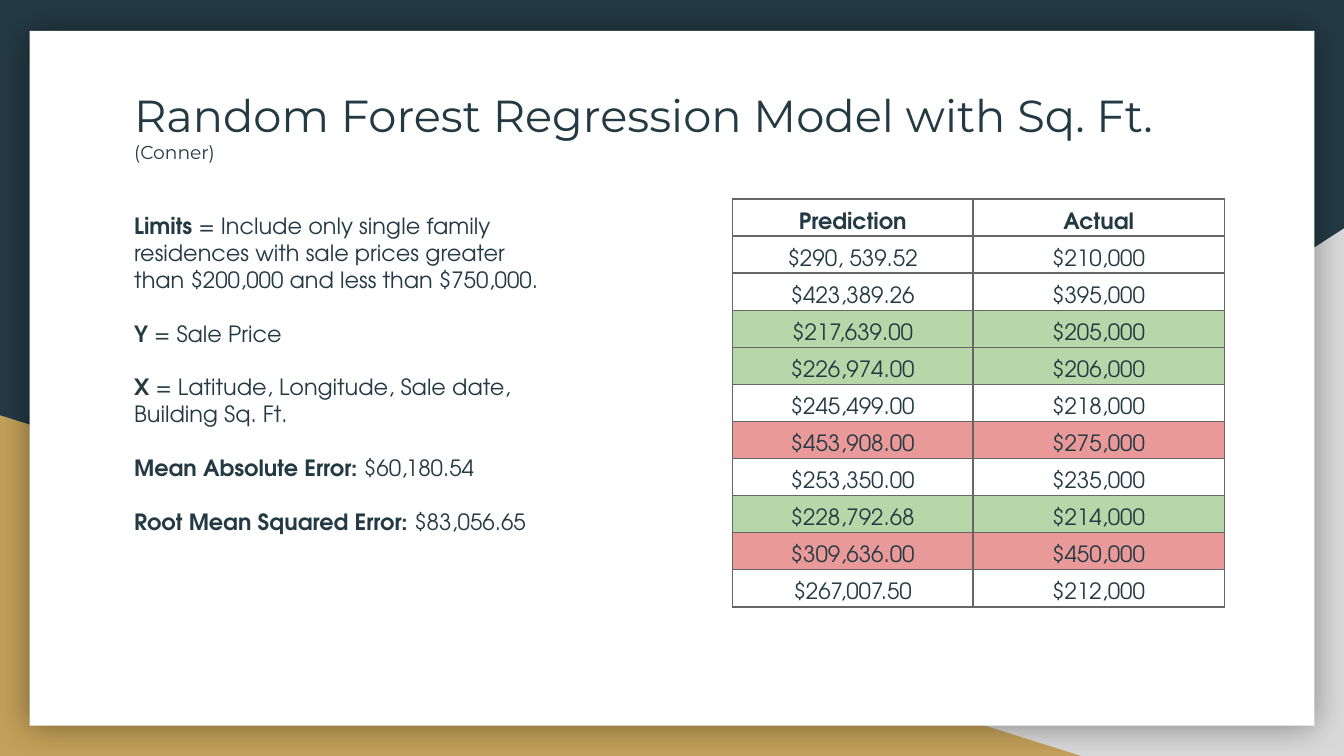
from pptx import Presentation
from pptx.dml.color import RGBColor
from pptx.enum import shapes, text
from pptx.oxml import parse_xml
from pptx.oxml.ns import nsdecls
from pptx.util import Inches, Pt

SLIDE_WIDTH = 10
SLIDE_HEIGHT = SLIDE_WIDTH * 9 / 16
INK, GREEN, RED, GRID = "233A44", "B6D7A8", "EA9999", "666666"
HEAD_FONT, BODY_FONT = "Montserrat", "TeX Gyre Adventor"

TITLE = [("Random Forest Regression Model with Sq. Ft. ", 24), ("(Conner)", 10)]
NOTES = [
    ("Limits ", "= Include only single family residences with sale prices "
                "greater than $200,000 and less than $750,000."),
    ("Y", " = Sale Price"),
    ("X ", "= Latitude, Longitude, Sale date, Building Sq. Ft."),
    ("Mean Absolute Error: ", "$60,180.54"),
    ("Root Mean Squared Error: ", "$83,056.65"),
]
RESULTS = [
    ("Prediction", "Actual", None),
    ("$290, 539.52", "$210,000", None),
    ("$423,389.26", "$395,000", None),
    ("$217,639.00", "$205,000", GREEN),
    ("$226,974.00", "$206,000", GREEN),
    ("$245,499.00", "$218,000", None),
    ("$453,908.00", "$275,000", RED),
    ("$253,350.00", "$235,000", None),
    ("$228,792.68", "$214,000", GREEN),
    ("$309,636.00", "$450,000", RED),
    ("$267,007.50", "$212,000", None),
]
COL_WIDTHS = [1.79, 1.87]
TABLE_HEIGHT = 3.04


def paint(fill, color):
    fill.solid()
    fill.fore_color.rgb = RGBColor.from_string(color)


def add_run(p, words, size, font, bold=False):
    r = p.add_run()
    r.text = words
    r.font.size, r.font.name, r.font.bold = Pt(size), font, bold
    r.font.color.rgb = RGBColor.from_string(INK)


def add_backdrop(s, kind, box, color):
    sp = s.shapes.add_shape(kind, *map(Inches, box))
    sp.shadow.inherit = False
    paint(sp.fill, color)
    sp.line.fill.background()
    return sp


def add_textbox(s, box):
    tf = s.shapes.add_textbox(*map(Inches, box)).text_frame
    tf.word_wrap = True
    tf.margin_left = tf.margin_right = tf.margin_top = tf.margin_bottom = Inches(0.1)
    return tf


def add_glow_shadow(sp, blur, alpha):
    """Soft black shadow spreading evenly around the shape."""
    effects = sp._element.spPr.find("{*}effectLst")
    effects.append(parse_xml(
        f'<a:outerShdw {nsdecls("a")} blurRad="{Pt(blur)}" dist="0" algn="ctr" rotWithShape="0">'
        f'<a:srgbClr val="000000"><a:alpha val="{alpha * 1000}"/></a:srgbClr></a:outerShdw>'))


def add_borders(cell, color, width):
    tc_pr = cell._tc.get_or_add_tcPr()
    for side in "LRTB":
        tc_pr.append(parse_xml(
            f'<a:ln{side} {nsdecls("a")} w="{Pt(width)}"><a:solidFill>'
            f'<a:srgbClr val="{color}"/></a:solidFill></a:ln{side}>'))


def add_results(s, left, top):
    table = s.shapes.add_table(len(RESULTS), len(COL_WIDTHS), Inches(left), Inches(top),
                               Inches(sum(COL_WIDTHS)), Inches(TABLE_HEIGHT)).table
    table.first_row = table.horz_banding = False
    for column, width in zip(table.columns, COL_WIDTHS):
        column.width = Inches(width)
    for i, (*values, color) in enumerate(RESULTS):
        table.rows[i].height = Inches(TABLE_HEIGHT / len(RESULTS))
        for j, value in enumerate(values):
            cell = table.cell(i, j)
            cell.margin_left = cell.margin_right = Inches(0.03)
            cell.margin_top = cell.margin_bottom = Inches(0.02)
            cell.vertical_anchor = text.MSO_ANCHOR.BOTTOM
            add_borders(cell, GRID, 0.75)
            if color:
                paint(cell.fill, color)
            else:
                cell.fill.background()
            p = cell.text_frame.paragraphs[0]
            p.alignment, p.line_spacing = text.PP_ALIGN.CENTER, 1.15
            add_run(p, value, 12, BODY_FONT, bold=i == 0)


def main():
    prs = Presentation()
    prs.slide_width, prs.slide_height = Inches(SLIDE_WIDTH), Inches(SLIDE_HEIGHT)
    s = prs.slides.add_slide(prs.slide_layouts[6])
    paint(s.background.fill, INK)

    kinds = shapes.MSO_SHAPE
    grey = add_backdrop(s, kinds.RIGHT_TRIANGLE, (3.92, 1.7, 6.08, 3.93), "D9D9D9")
    grey._element.spPr.xfrm.set("flipH", "1")
    add_backdrop(s, kinds.RIGHT_TRIANGLE, (0, 3.09, 8.06, 2.54), "C4A15A")
    card = add_backdrop(s, kinds.RECTANGLE, (0.22, 0.23, 9.56, 5.17), "FFFFFF")
    add_glow_shadow(card, blur=18, alpha=40)

    title = add_textbox(s, (0.9, 0.55, 8.21, 0.88)).paragraphs[0]
    for words, size in TITLE:
        add_run(title, words, size, HEAD_FONT)

    add_results(s, 5.45, 1.48)

    tf = add_textbox(s, (0.9, 1.48, 3.28, 2.83))
    for i, (label, detail) in enumerate(NOTES):
        p = tf.add_paragraph() if i else tf.paragraphs[0]
        if i:
            p.space_before = Pt(14.4)
        add_run(p, label, 12, BODY_FONT, bold=True)
        add_run(p, detail, 12, BODY_FONT)

    prs.save("out.pptx")


if __name__ == "__main__":
    main()
